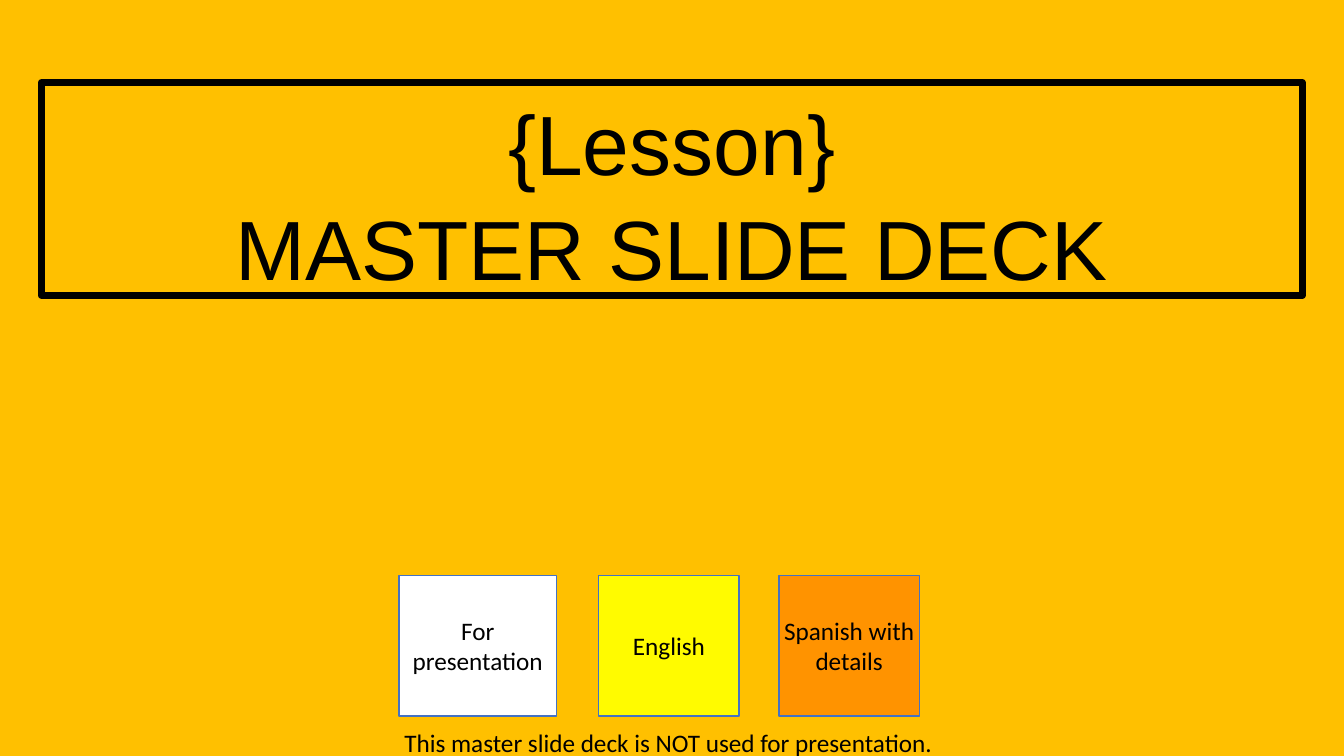
from pptx import Presentation
from pptx import util as u
from pptx.dml.color import RGBColor
from pptx.enum import shapes, text

BLACK = "000000"
BLUE = "4472C4"
TOP = 14.5
SIDE = 3.54
TILES = [
    ("For presentation", 10.06, 3.96, "FFFFFF"),
    ("English", 15.09, SIDE, "FFFB00"),
    ("Spanish with details", 19.63, SIDE, "FF9300"),
]


def paint(fill, hue):
    """Make a fill solid in the given hex colour."""
    fill.solid()
    fill.fore_color.rgb = RGBColor.from_string(hue)


def edge(shape, hue, width):
    """Outline a shape."""
    paint(shape.line.fill, hue)
    shape.line.width = u.Pt(width)


def inset(frame, left, top, right, low):
    """Set the inner margins of a text frame in centimetres."""
    frame.margin_left, frame.margin_top = u.Cm(left), u.Cm(top)
    frame.margin_right, frame.margin_bottom = u.Cm(right), u.Cm(low)


def style(par, name, size, align):
    """Set the font and alignment of a paragraph."""
    par.font.name = name
    par.font.size = u.Pt(size)
    paint(par.font.fill, BLACK)
    par.alignment = align


def banner(slide, lines):
    """Place the framed heading in the body placeholder."""
    body = slide.placeholders[1]
    body.left, body.top = u.Cm(1.04), u.Cm(2.08)
    body.width, body.height = u.Cm(31.78), u.Cm(5.61)
    edge(body, BLACK, 5)
    frame = body.text_frame
    frame.text = "\n".join(lines)
    frame.word_wrap = True
    frame.auto_size = text.MSO_AUTO_SIZE.SHAPE_TO_FIT_TEXT
    frame.vertical_anchor = text.MSO_ANCHOR.TOP
    inset(frame, 0.25, 0.51, 0.25, 0.13)
    for par in frame.paragraphs:
        style(par, "Arial", 60, text.PP_ALIGN.CENTER)
        par.line_spacing = 0.9
        par.space_before = u.Pt(10)


def tile(slide, label, left, width, hue):
    """Add one colour key tile."""
    box = slide.shapes.add_shape(
        shapes.MSO_SHAPE.RECTANGLE, u.Cm(left), u.Cm(TOP), u.Cm(width), u.Cm(SIDE)
    )
    box.shadow.inherit = False
    paint(box.fill, hue)
    edge(box, BLUE, 1)
    frame = box.text_frame
    frame.text = label
    frame.word_wrap = True
    frame.vertical_anchor = text.MSO_ANCHOR.MIDDLE
    inset(frame, 0.13, 0.13, 0.13, 0.13)
    style(frame.paragraphs[0], "Calibri", 18, text.PP_ALIGN.CENTER)


def note(slide, words):
    """Add the line of text under the tiles."""
    box = slide.shapes.add_textbox(u.Cm(10.06), u.Cm(18.19), u.Cm(13.74), u.Cm(0.91))
    frame = box.text_frame
    frame.text = words
    frame.word_wrap = False
    frame.auto_size = text.MSO_AUTO_SIZE.SHAPE_TO_FIT_TEXT
    inset(frame, 0.13, 0.13, 0.13, 0.13)
    style(frame.paragraphs[0], "Calibri", 18, text.PP_ALIGN.LEFT)


def main():
    """Build and save the slide."""
    deck = Presentation()
    deck.slide_width, deck.slide_height = u.Cm(33.87), u.Cm(19.05)
    slide = deck.slides.add_slide(deck.slide_layouts.get_by_name("Section Header"))
    paint(slide.background.fill, "FFC000")
    title = slide.shapes.title.element
    title.getparent().remove(title)
    banner(slide, ["{Lesson}", "MASTER SLIDE DECK"])
    for item in TILES:
        tile(slide, *item)
    note(slide, "This master slide deck is NOT used for presentation.")
    deck.save("out.pptx")


if __name__ == "__main__":
    main()
